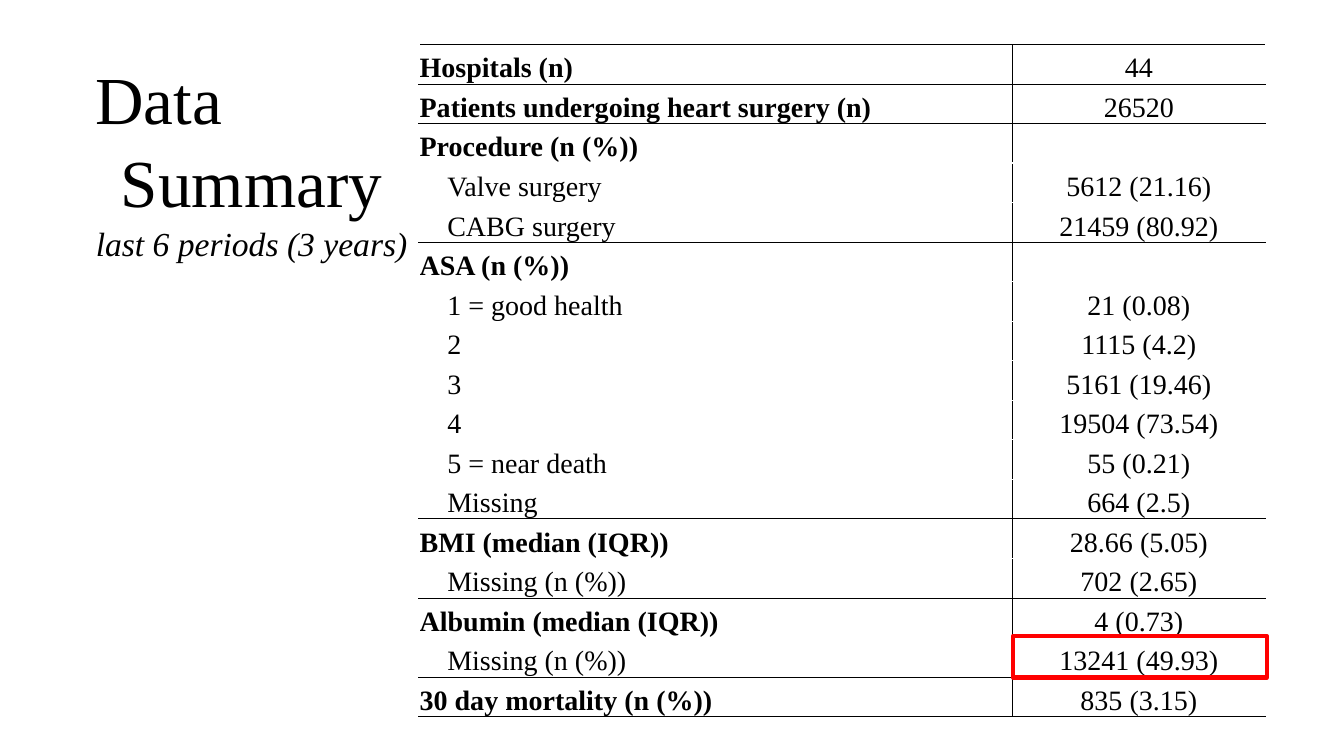
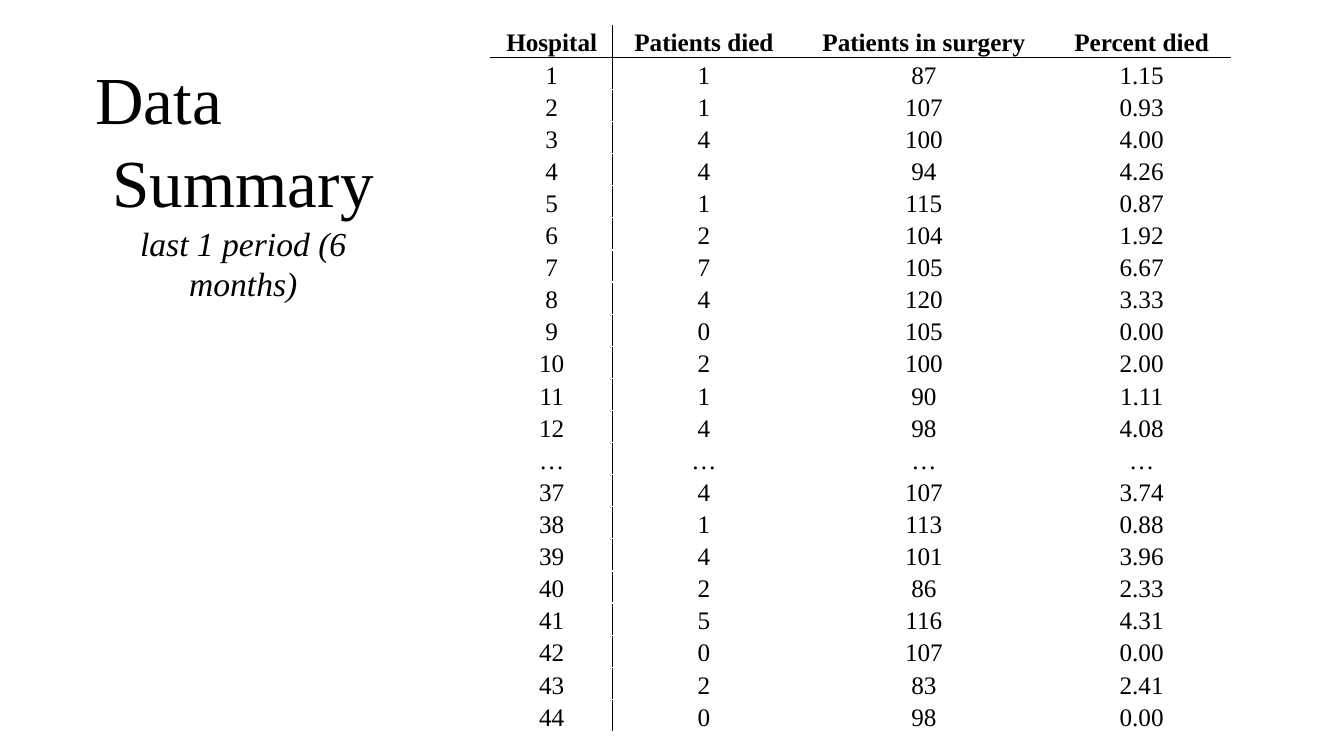
import pptx
import pptx.util
import pptx.dml.color
import pptx.enum.shapes
import pptx.enum.text
import pptx.oxml.ns
import lxml.etree

Pt = pptx.util.Pt
ALIGN = pptx.enum.text.PP_ALIGN
ANCHOR = pptx.enum.text.MSO_ANCHOR

FONT = "Times New Roman"
BLACK, RED = "000000", "FF0000"

COHORT = [
    ("Hospitals (n)", "44", True),
    ("Patients undergoing heart surgery (n)", "26520", True),
    ("Procedure (n (%))", "", True),
    ("Valve surgery", "5612 (21.16)", False),
    ("CABG surgery", "21459 (80.92)", False),
    ("ASA (n (%))", "", True),
    ("1 = good health", "21 (0.08)", False),
    ("2", "1115 (4.2)", False),
    ("3", "5161 (19.46)", False),
    ("4", "19504 (73.54)", False),
    ("5 = near death", "55 (0.21)", False),
    ("Missing", "664 (2.5)", False),
    ("BMI (median (IQR))", "28.66 (5.05)", True),
    ("Missing (n (%))", "702 (2.65)", False),
    ("Albumin (median (IQR))", "4 (0.73)", True),
    ("Missing (n (%))", "13241 (49.93)", False),
    ("30 day mortality (n (%))", "835 (3.15)", True),
]
HIGH_MISSING_ROW = 15

HOSPITALS = [
    ("Hospital", "Patients died", "Patients in surgery", "Percent died"),
    ("1", "1", "87", "1.15"),
    ("2", "1", "107", "0.93"),
    ("3", "4", "100", "4.00"),
    ("4", "4", "94", "4.26"),
    ("5", "1", "115", "0.87"),
    ("6", "2", "104", "1.92"),
    ("7", "7", "105", "6.67"),
    ("8", "4", "120", "3.33"),
    ("9", "0", "105", "0.00"),
    ("10", "2", "100", "2.00"),
    ("11", "1", "90", "1.11"),
    ("12", "4", "98", "4.08"),
    ("…", "…", "…", "…"),
    ("37", "4", "107", "3.74"),
    ("38", "1", "113", "0.88"),
    ("39", "4", "101", "3.96"),
    ("40", "2", "86", "2.33"),
    ("41", "5", "116", "4.31"),
    ("42", "0", "107", "0.00"),
    ("43", "2", "83", "2.41"),
    ("44", "0", "98", "0.00"),
]


def color(code):
    return pptx.dml.color.RGBColor.from_string(code)


def style(paragraph, size, bold=False, italic=False):
    for run in paragraph.runs:
        run.font.name = FONT
        run.font.size = Pt(size)
        run.font.bold = bold
        run.font.italic = italic
        run.font.color.rgb = color(BLACK)


def add_titled_slide(period, summary_right_indent):
    slide = deck.slides.add_slide(deck.slide_layouts[5])
    title = slide.shapes.title
    title.left, title.top, title.width, title.height = Pt(48.25), Pt(31.75), Pt(250.5), Pt(152.5)
    frame = title.text_frame
    frame.text = "\n".join(("Data", "Summary", period))
    frame.word_wrap = True
    frame.auto_size = pptx.enum.text.MSO_AUTO_SIZE.NONE
    frame.vertical_anchor = ANCHOR.TOP
    frame.margin_left = frame.margin_right = Pt(7.2)
    frame.margin_top, frame.margin_bottom = Pt(9), Pt(0)
    data, summary, span = frame.paragraphs
    for paragraph, size, before in ((data, 48, 0), (summary, 48, 2), (span, 24, 1)):
        paragraph.alignment = ALIGN.CENTER
        paragraph.space_before = Pt(before)
        style(paragraph, size, italic=paragraph is span)
    data.alignment = ALIGN.LEFT
    data._p.get_or_add_pPr().set("marL", str(Pt(12.5)))
    summary._p.get_or_add_pPr().set("marR", str(Pt(summary_right_indent)))
    return slide


def rule_cell(cell, sides):
    properties = cell._tc.get_or_add_tcPr()
    qn = pptx.oxml.ns.qn
    for side in sides:
        line = lxml.etree.SubElement(properties, qn("a:ln" + side), w=str(Pt(0.5)))
        fill = lxml.etree.SubElement(line, qn("a:solidFill"))
        lxml.etree.SubElement(fill, qn("a:srgbClr"), val=BLACK)


def add_ruled_table(slide, rows, left, top, widths, row_height, size, bold_cells, ruled_rows,
                    left_cells=(), indented_cells=()):
    table = slide.shapes.add_table(len(rows), len(widths), Pt(left), Pt(top),
                                   Pt(sum(widths)), Pt(row_height * len(rows))).table
    table.first_row = table.horz_banding = False
    for column, width in zip(table.columns, widths):
        column.width = Pt(width)
    for r, row in enumerate(rows):
        table.rows[r].height = Pt(row_height)
        for c, value in enumerate(row):
            cell = table.cell(r, c)
            cell.vertical_anchor = ANCHOR.BOTTOM
            cell.margin_left = Pt(20.25 if (r, c) in indented_cells else 0.5)
            cell.margin_right = cell.margin_top = Pt(0.5)
            cell.margin_bottom = Pt(0)
            cell.text_frame.text = value
            paragraph = cell.text_frame.paragraphs[0]
            paragraph.alignment = ALIGN.LEFT if (r, c) in left_cells else ALIGN.CENTER
            style(paragraph, size, bold=(r, c) in bold_cells)
            edges = {"L": c == 1, "R": c == 0, "T": r - 1 in ruled_rows, "B": r in ruled_rows}
            rule_cell(cell, [side for side, drawn in edges.items() if drawn])
            cell.fill.background()


deck = pptx.Presentation()
deck.slide_width, deck.slide_height = Pt(960), Pt(540)

cohort_slide = add_titled_slide("last 6 periods (3 years)", 0)
left, top, widths, row_height = 299.25, 31.75, (423.5, 181.5), 28.25
labels = {(r, 0) for r in range(len(COHORT))}
headings = {(r, 0) for r, row in enumerate(COHORT) if row[2]}
group_ends = {r - 1 for r, c in headings} | {len(COHORT) - 1}
add_ruled_table(cohort_slide, [row[:2] for row in COHORT], left, top, widths, row_height, 20,
                headings, group_ends, labels, labels - headings)
highlight = cohort_slide.shapes.add_shape(
    pptx.enum.shapes.MSO_SHAPE.RECTANGLE, Pt(left + widths[0] + 0.75),
    Pt(top + HIGH_MISSING_ROW * row_height - 1), Pt(widths[1]), Pt(row_height + 1.25))
highlight.shadow.inherit = False
highlight.fill.background()
highlight.line.color.rgb = color(RED)
highlight.line.width = Pt(3)

hospital_slide = add_titled_slide("last 1 period (6 months)", 12)
add_ruled_table(hospital_slide, HOSPITALS, 350.5, 18, (87.25, 130.25, 184, 127), 22.95, 18,
                {(0, c) for c in range(4)}, {0})

deck.save("out.pptx")
